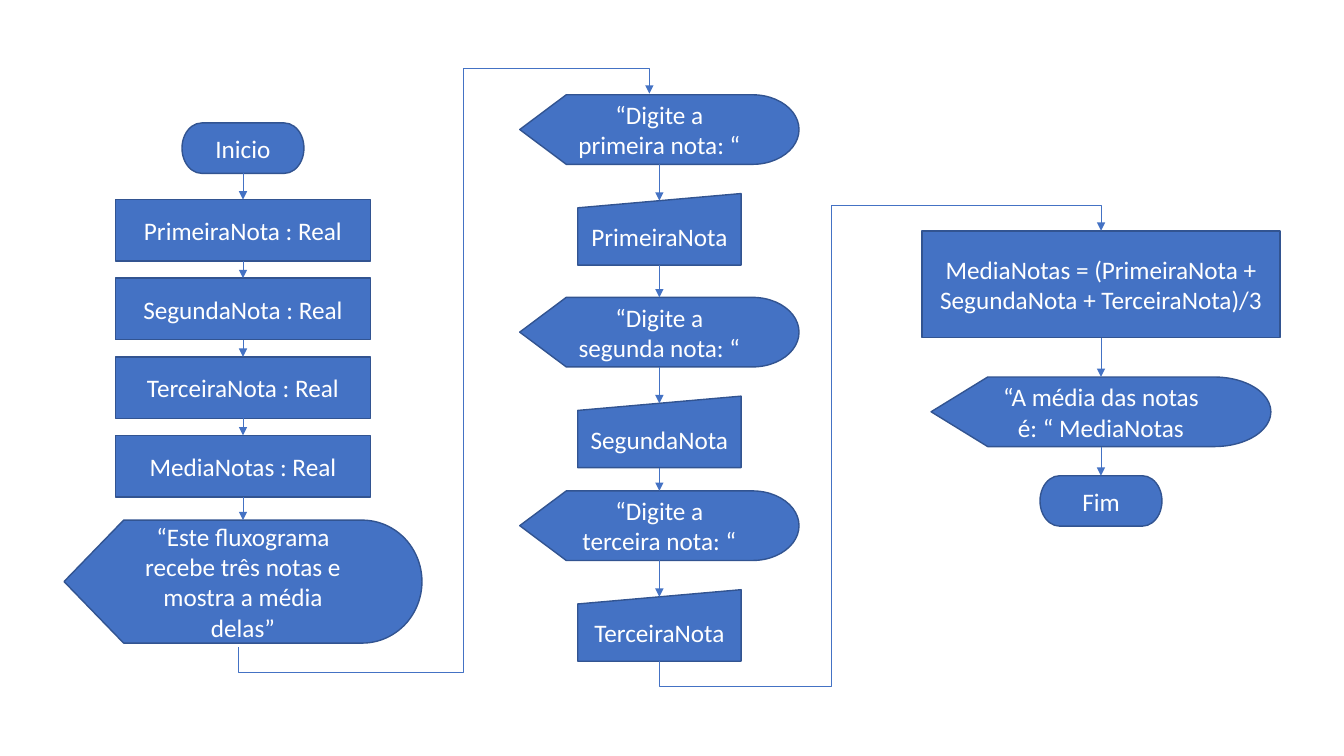
from itertools import pairwise

from lxml import etree
from pptx import Presentation
from pptx.dml.color import RGBColor
from pptx.enum.shapes import MSO_CONNECTOR, MSO_SHAPE
from pptx.enum.text import MSO_ANCHOR, PP_ALIGN
from pptx.oxml.ns import qn
from pptx.util import Inches, Pt

BLUE = RGBColor(0x44, 0x72, 0xC4)
NAVY = RGBColor(0x32, 0x54, 0x91)
WHITE = RGBColor(0xFF, 0xFF, 0xFF)
ENDS = MSO_SHAPE.FLOWCHART_TERMINATOR
STEP = MSO_SHAPE.FLOWCHART_PROCESS
SHOW = MSO_SHAPE.FLOWCHART_DISPLAY
READ = MSO_SHAPE.FLOWCHART_MANUAL_INPUT
LINE = MSO_CONNECTOR.STRAIGHT
ELBOW = MSO_CONNECTOR.ELBOW
MIDDLE = MSO_ANCHOR.MIDDLE
CENTER = PP_ALIGN.CENTER
CELL = Inches(0.1)
LEFT, MID, RIGHT = 24.1, 65.4, 109.2
SLOPE = 0.1
TURN = 2.5


def grid(*cells):
    """Turn grid cells into slide lengths."""
    return [round(n * CELL) for n in cells]


def node(slide, kind, text, axis, top, wide, high):
    """Draw a flowchart symbol centred on an axis; return its axis, entry and exit rows."""
    shape = slide.shapes.add_shape(kind, *grid(axis - wide / 2, top, wide, high))
    shape.shadow.inherit = False
    shape.fill.solid()
    shape.fill.fore_color.rgb = BLUE
    shape.line.color.rgb = NAVY
    shape.line.width = Pt(1)
    frame = shape.text_frame
    frame.word_wrap = True
    frame.vertical_anchor = MIDDLE
    frame.text = text
    para = frame.paragraphs[0]
    para.alignment = CENTER
    font = para.runs[0].font
    font.name = "Calibri"
    font.size = Pt(18)
    font.color.rgb = WHITE
    entry = top + high * SLOPE if kind == READ else top
    return axis, entry, top + high


def arrow(slide, kind, x1, y1, x2, y2):
    """Draw a thin connector with a triangle at its end."""
    link = slide.shapes.add_connector(kind, *grid(x1, y1, x2, y2))
    link.line.color.rgb = BLUE
    link.line.width = Pt(0.5)
    etree.SubElement(link.line._get_or_add_ln(), qn("a:tailEnd"), type="triangle")
    etree.SubElement(link._element.spPr, qn("a:effectLst"))
    return link


def detour(slide, x1, y1, x2, y2, lane):
    """Link the foot of one column to the head of the next along a lane."""
    wide, high = x2 - x1, y1 - y2
    midx, midy = (x1 + x2) / 2, (y1 + y2) / 2
    link = arrow(slide, ELBOW, midx + high / 2, midy + wide / 2,
                 midx - high / 2, midy - wide / 2)
    props = link._element.spPr
    props.find(qn("a:xfrm")).set("rot", "5400000")
    geom = props.find(qn("a:prstGeom"))
    geom.set("prst", "bentConnector5")
    for old in list(geom):
        geom.remove(old)
    guides = etree.SubElement(geom, qn("a:avLst"))
    bends = (-TURN / high, (lane - x1) / wide, 1 + TURN / high)
    for i, bend in enumerate(bends, 1):
        etree.SubElement(guides, qn("a:gd"), name=f"adj{i}",
                         fmla=f"val {round(bend * 100000)}")


def chain(slide, axis, steps):
    """Stack symbols on an axis and join each to the next."""
    nodes = [node(slide, kind, text, axis, *box) for kind, text, *box in steps]
    for (_, _, foot), (_, head, _) in pairwise(nodes):
        arrow(slide, LINE, axis, foot, axis, head)
    return nodes


def main():
    """Build the flowchart slide."""
    deck = Presentation()
    deck.slide_width, deck.slide_height = Inches(13.33), Inches(7.5)
    slide = deck.slides.add_slide(deck.slide_layouts[6])

    names = ("PrimeiraNota", "SegundaNota", "TerceiraNota")
    start = [(ENDS, "Inicio", 12.2, 12.1, 5)]
    for i, name in enumerate((*names, "MediaNotas")):
        start.append((STEP, f"{name} : Real", 19.8 + 7.8 * i, 25.3, 6.1))
    intro = "“Este fluxograma recebe três notas e mostra a média delas”"
    start.append((SHOW, intro, 51.6, 35.5, 12.2))

    entry = []
    ranks = ("primeira", "segunda", "terceira")
    for rank, name, top in zip(ranks, names, (9.4, 29.5, 48.7)):
        entry.append((SHOW, f"“Digite a {rank} nota: “", top, 27.7, 6.9))
        entry.append((READ, name, top + 9.8, 16.2, 7.1))

    total = "MediaNotas = (PrimeiraNota + SegundaNota + TerceiraNota)/3"
    finish = [
        (STEP, total, 22.9, 35.5, 10.6),
        (SHOW, "“A média das notas é: “ MediaNotas", 37.4, 33.7, 6.9),
        (ENDS, "Fim", 47.2, 12.1, 5),
    ]

    chain(slide, LEFT, start)
    reads = chain(slide, MID, entry)
    ends = chain(slide, RIGHT, finish)
    detour(slide, LEFT - 0.5, 64.2, MID - 1, 9.3, 46)
    detour(slide, MID, reads[-1][2], RIGHT, ends[0][1], 82.5)
    deck.save("out.pptx")


if __name__ == "__main__":
    main()
